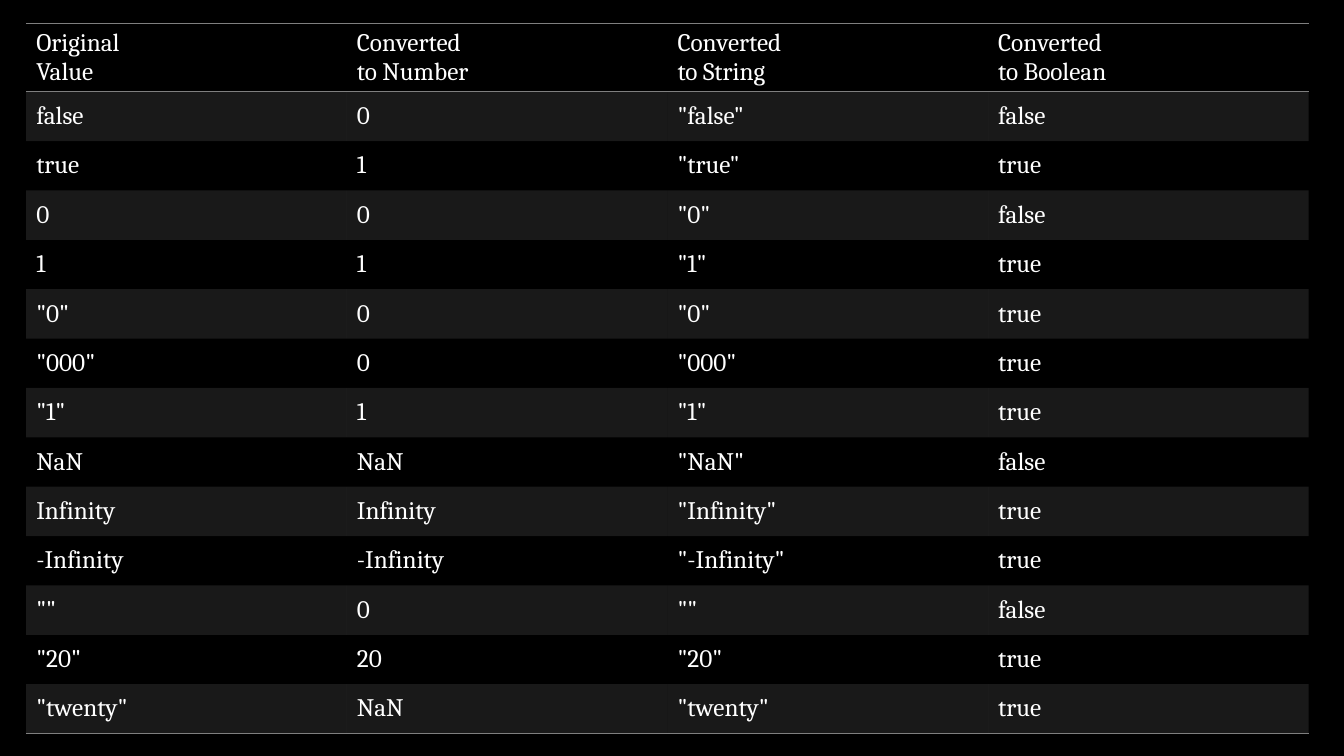
import pptx
import pptx.dml.color
import pptx.enum.text
import pptx.oxml
import pptx.oxml.ns
import pptx.util
from pptx.util import Inches

COLORS = {"background": "000000", "text": "FFFFFF", "gray": "7F7F7F"}
FONT = "Cambria"
NO_GRID_STYLE = "{2D5ABB26-0587-4C30-8999-92F81FD0307C}"
BAND_OPACITY = 20
COLUMN_WIDTH = 3.18
HEADER_HEIGHT = 0.68
ROW_HEIGHT = 0.49

HEADERS = ["Original\vValue", "Converted\vto Number", "Converted\vto String", "Converted\vto Boolean"]
CONVERSIONS = [
    ["false", "0", '"false"', "false"],
    ["true", "1", '"true"', "true"],
    ["0", "0", '"0"', "false"],
    ["1", "1", '"1"', "true"],
    ['"0"', "0", '"0"', "true"],
    ['"000"', "0", '"000"', "true"],
    ['"1"', "1", '"1"', "true"],
    ["NaN", "NaN", '"NaN"', "false"],
    ["Infinity", "Infinity", '"Infinity"', "true"],
    ["-Infinity", "-Infinity", '"-Infinity"', "true"],
    ['""', "0", '""', "false"],
    ['"20"', "20", '"20"', "true"],
    ['"twenty"', "NaN", '"twenty"', "true"],
]


def rgb(name):
    return pptx.dml.color.RGBColor.from_string(COLORS[name])


def write_cell(cell, text):
    cell.text = text
    cell.vertical_anchor = pptx.enum.text.MSO_ANCHOR.MIDDLE
    font = cell.text_frame.paragraphs[0].font
    font.name = FONT
    font.size = pptx.util.Pt(18)
    font.color.rgb = rgb("text")


def fill_cell(cell, banded):
    """Give a banded cell a translucent gray fill, any other cell none."""
    if not banded:
        cell.fill.background()
        return
    cell.fill.solid()
    cell.fill.fore_color.rgb = rgb("gray")
    color = cell._tc.tcPr.find(".//" + pptx.oxml.ns.qn("a:srgbClr"))
    color.append(pptx.oxml.parse_xml(
        f'<a:alpha {pptx.oxml.ns.nsdecls("a")} val="{BAND_OPACITY * 1000}"/>'))


def add_borders(cell, sides):
    """Draw 1 pt gray lines on the given sides, in schema order before the fill."""
    for position, side in enumerate(sides):
        line = pptx.oxml.parse_xml(
            f'<a:ln{side} {pptx.oxml.ns.nsdecls("a")} w="12700"><a:solidFill>'
            f'<a:srgbClr val="{COLORS["gray"]}"/></a:solidFill></a:ln{side}>')
        cell._tc.get_or_add_tcPr().insert(position, line)


def add_conversion_table(page):
    rows = [HEADERS] + CONVERSIONS
    height = HEADER_HEIGHT + ROW_HEIGHT * len(CONVERSIONS)
    frame = page.shapes.add_table(
        len(rows), len(HEADERS), Inches(0.26), Inches(0.23),
        Inches(COLUMN_WIDTH * len(HEADERS)), Inches(height))
    table = frame.table
    table.horz_banding = False
    table._tbl.tblPr.find(pptx.oxml.ns.qn("a:tableStyleId")).text = NO_GRID_STYLE
    for column in table.columns:
        column.width = Inches(COLUMN_WIDTH)

    borders = {0: "TB", len(rows) - 1: "B"}
    for index, values in enumerate(rows):
        table.rows[index].height = Inches(ROW_HEIGHT if index else HEADER_HEIGHT)
        for cell, value in zip(table.rows[index].cells, values):
            write_cell(cell, value)
            fill_cell(cell, banded=index % 2 == 1)
            add_borders(cell, borders.get(index, ""))


def main():
    deck = pptx.Presentation()
    deck.slide_width = Inches(13.33)
    deck.slide_height = Inches(7.5)
    page = deck.slides.add_slide(deck.slide_layouts[6])
    page.background.fill.solid()
    page.background.fill.fore_color.rgb = rgb("background")
    add_conversion_table(page)
    deck.save("out.pptx")


if __name__ == "__main__":
    main()
